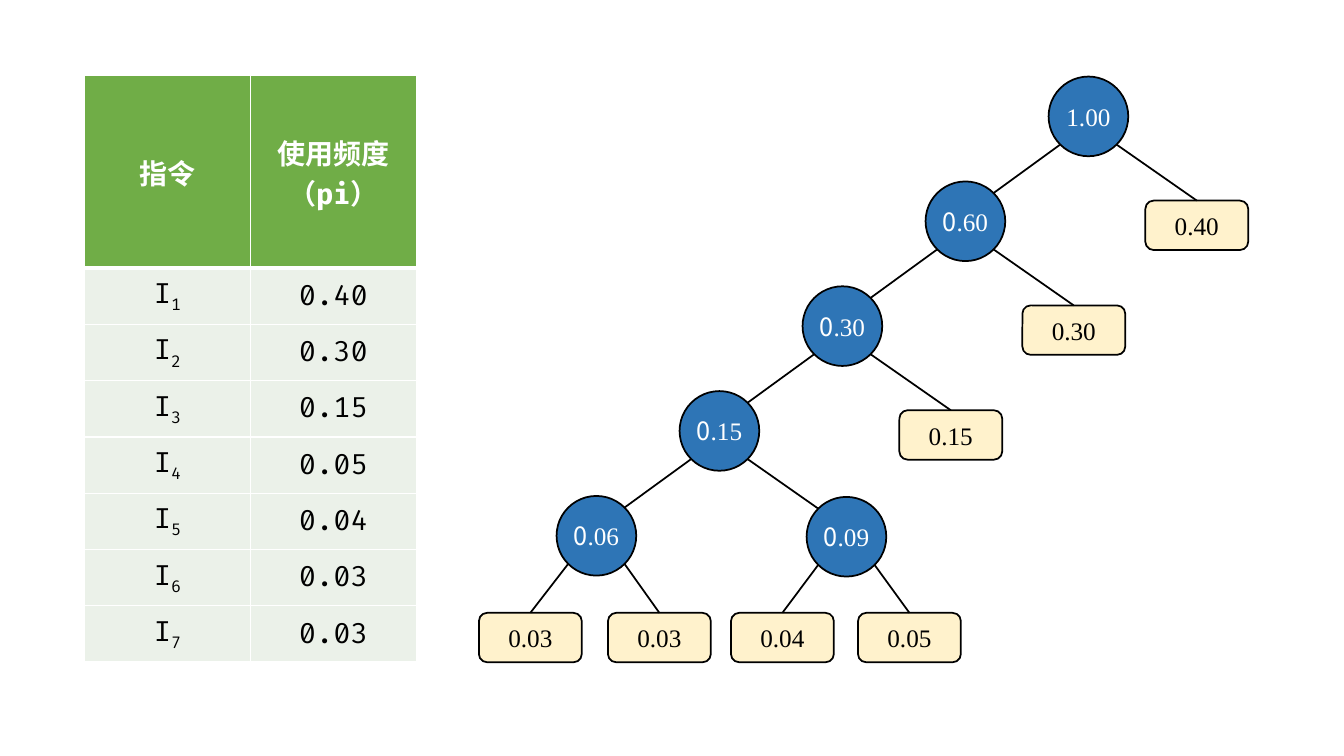
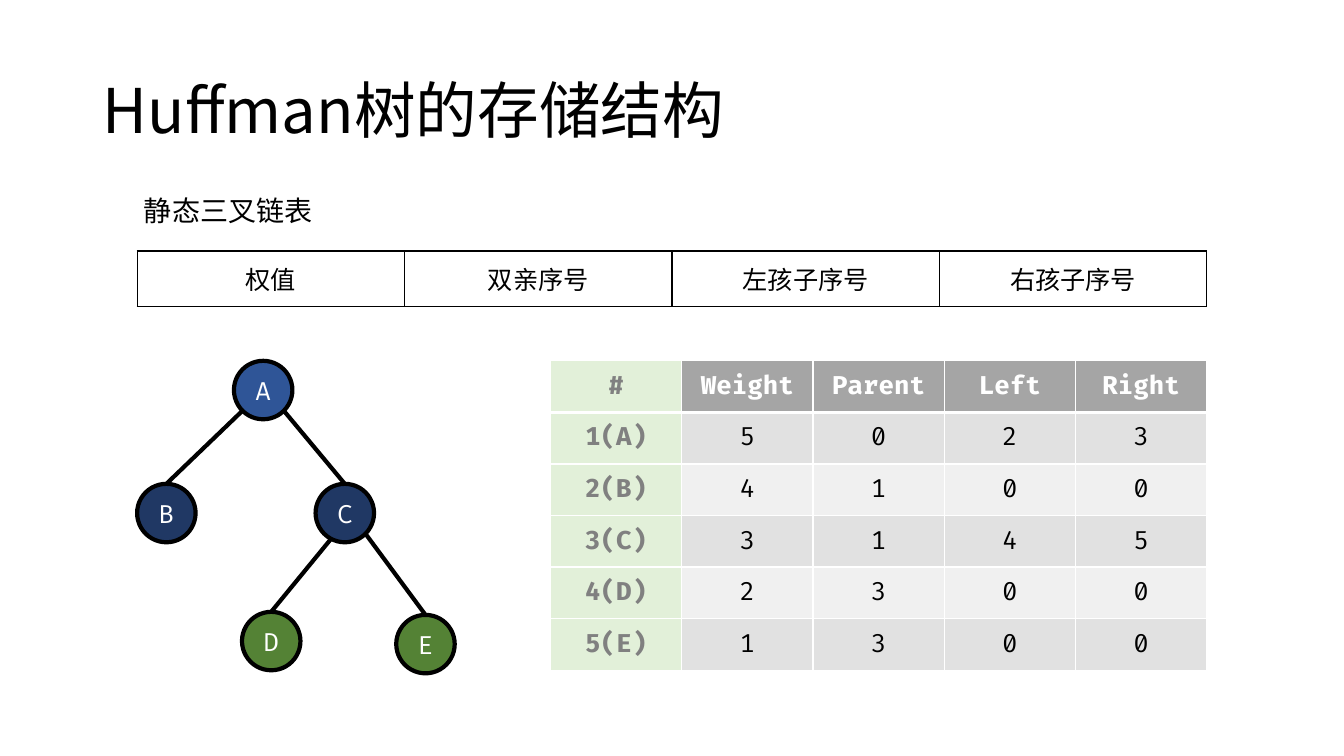
from math import cos, radians, sin

from lxml.etree import SubElement
from pptx import Presentation
from pptx.dml.color import RGBColor
from pptx.enum.shapes import MSO_CONNECTOR, MSO_SHAPE
from pptx.enum.text import MSO_ANCHOR, PP_ALIGN
from pptx.oxml.ns import qn
from pptx.util import Inches, Pt

COLORS = {
    "white": "FFFFFF", "black": "000000", "gray_text": "808080",
    "node": "2E75B6", "leaf": "FFF2CC",
    "root": "2F5597", "inner": "203864", "bottom": "548235",
    "green_header": "70AD47", "green_body": "EBF1E9", "green_index": "E2F0D9",
    "gray_header": "A5A5A5", "gray_dark": "E1E1E1", "gray_light": "F0F0F0",
}
SANS, CODE, SERIF = "Noto Sans CJK SC", "Fira Code", "Times New Roman"
LOWER_RIGHT, LOWER_LEFT, UPPER_LEFT, TOP = 45, 135, 225, 270
UPPER_RIGHT = 315


def rgb(name):
    return RGBColor.from_string(COLORS[name])


def format_run(run, font, size, color, bold=False):
    run.font.name = font
    run.font.size = Pt(size)
    run.font.bold = bold
    run.font.color.rgb = rgb(color)
    east_asian = SubElement(run._r.get_or_add_rPr(), qn("a:ea"))
    east_asian.set("typeface", SANS)


def format_text(text_frame, font, size, color, bold=False, align=PP_ALIGN.CENTER):
    for paragraph in text_frame.paragraphs:
        paragraph.alignment = align
        for run in paragraph.runs:
            format_run(run, font, size, color, bold)


def add_node(slide, kind, box, fill, pieces, color="white", line_width=1.25):
    shape = slide.shapes.add_shape(kind, *map(Inches, box))
    shape.shadow.inherit = False
    shape.fill.solid()
    shape.fill.fore_color.rgb = rgb(fill)
    shape.line.color.rgb = rgb("black")
    shape.line.width = Pt(line_width)
    frame = shape.text_frame
    frame.margin_left = frame.margin_right = frame.margin_top = frame.margin_bottom = 0
    frame.vertical_anchor = MSO_ANCHOR.MIDDLE
    frame.word_wrap = False
    paragraph = frame.paragraphs[0]
    paragraph.alignment = PP_ALIGN.CENTER
    for text, font in pieces:
        run = paragraph.add_run()
        run.text = text
        format_run(run, font, 18, color)
    return shape


def add_weight_node(slide, left, top, weight):
    pieces = [("0", SANS), (weight[1:], SERIF)] if weight[0] == "0" else [(weight, SERIF)]
    return add_node(slide, MSO_SHAPE.OVAL, (left, top, 0.79, 0.79), "node", pieces)


def add_leaf(slide, left, top, weight):
    return add_node(slide, MSO_SHAPE.ROUNDED_RECTANGLE, (left, top, 1.02, 0.49),
                    "leaf", [(weight, SERIF)], "black")


def edge_point(shape, angle):
    x = shape.left + shape.width / 2 * (1 + cos(radians(angle)))
    y = shape.top + shape.height / 2 * (1 + sin(radians(angle)))
    return int(x), int(y)


def add_link(slide, parent, parent_angle, child, child_angle=TOP, width=1.25):
    connector = slide.shapes.add_connector(
        MSO_CONNECTOR.STRAIGHT, *edge_point(parent, parent_angle),
        *edge_point(child, child_angle))
    connector.line.color.rgb = rgb("black")
    connector.line.width = Pt(width)
    SubElement(connector._element.spPr, qn("a:effectLst"))


def set_border(cell, side, color, width):
    line = SubElement(cell._tc.get_or_add_tcPr(), qn(f"a:ln{side}"), w=str(Pt(width)))
    fill = SubElement(line, qn("a:solidFill"))
    SubElement(fill, qn("a:srgbClr"), val=COLORS[color])


def add_grid(slide, box, rows, style, font, size, border="white",
             header_height=None, margin=None):
    left, top, width, height = box
    row_count, column_count = len(rows), len(rows[0])
    table = slide.shapes.add_table(row_count, column_count, *map(Inches, box)).table
    table.first_row = table.horz_banding = False
    for column in table.columns:
        column.width = Inches(width / column_count)
    for row in table.rows:
        row.height = Inches(height / row_count)
    if header_height:
        table.rows[0].height = Inches(header_height)
        for index in range(1, row_count):
            table.rows[index].height = Inches((height - header_height) / (row_count - 1))
    for i, texts in enumerate(rows):
        for j, text in enumerate(texts):
            cell = table.cell(i, j)
            fill, color, bold = style(i, j)
            for side in "LRTB":
                under_header = row_count > 1 and (i, side) in ((0, "B"), (1, "T"))
                set_border(cell, side, border, 3 if under_header else 1)
            if fill:
                cell.fill.solid()
                cell.fill.fore_color.rgb = rgb(fill)
            else:
                cell.fill.background()
            if margin is not None:
                cell.margin_left = cell.margin_right = cell.margin_top = Inches(margin)
                cell.margin_bottom = 0
            cell.vertical_anchor = MSO_ANCHOR.MIDDLE
            cell.text_frame.text = text
            format_text(cell.text_frame, font, size, color, bold)
    return table


def frequency_style(row, column):
    if row == 0:
        return "green_header", "white", True
    return "green_body", "black", False


def field_style(row, column):
    return None, "black", False


def storage_style(row, column):
    if column == 0:
        return "green_index", "gray_text", True
    if row == 0:
        return "gray_header", "white", True
    return "gray_dark" if row % 2 else "gray_light", "black", False


def build_frequency_slide(presentation):
    slide = presentation.slides.add_slide(presentation.slide_layouts[6])
    spine = [add_weight_node(slide, 10.4 - 1.22 * i, 0.76 + 1.04 * i, weight)
             for i, weight in enumerate(["1.00", "0.60", "0.30", "0.15", "0.06"])]
    for parent, child in zip(spine, spine[1:]):
        add_link(slide, parent, LOWER_LEFT, child, UPPER_RIGHT)
    for i, weight in enumerate(["0.40", "0.30", "0.15"]):
        leaf = add_leaf(slide, 11.36 - 1.22 * i, 1.99 + 1.04 * i, weight)
        add_link(slide, spine[i], LOWER_RIGHT, leaf)
    right_node = add_weight_node(slide, 8, 4.93, "0.09")
    add_link(slide, spine[3], LOWER_RIGHT, right_node, UPPER_LEFT)
    for parent, angle, left, weight in [
        (spine[4], LOWER_LEFT, 4.75, "0.03"),
        (spine[4], LOWER_RIGHT, 6.03, "0.03"),
        (right_node, LOWER_LEFT, 7.25, "0.04"),
        (right_node, LOWER_RIGHT, 8.51, "0.05"),
    ]:
        add_link(slide, parent, angle, add_leaf(slide, left, 6.08, weight))

    frequencies = ["0.40", "0.30", "0.15", "0.05", "0.04", "0.03", "0.03"]
    rows = [["指令", "使用频度\n（pi）"]] + [["I", value] for value in frequencies]
    table = add_grid(slide, (0.84, 0.75, 3.29, 5.82), rows, frequency_style,
                     CODE, 20, header_height=1.91, margin=0.01)
    for i in range(1, len(rows)):
        subscript = table.cell(i, 0).text_frame.paragraphs[0].add_run()
        subscript.text = str(i)
        format_run(subscript, CODE, 20, "black")
        subscript._r.get_or_add_rPr().set("baseline", "-25000")


def build_storage_slide(presentation):
    slide = presentation.slides.add_slide(presentation.slide_layouts[5])
    title = slide.shapes.title
    title.left, title.top, title.width, title.height = map(Inches, (0.92, 0.4, 11.5, 1.45))
    title.text_frame.text = "Huffman树的存储结构"
    title.text_frame.vertical_anchor = MSO_ANCHOR.MIDDLE
    title.text_frame.paragraphs[0].line_spacing = 0.9
    format_text(title.text_frame, SANS, 44, "black", align=PP_ALIGN.LEFT)

    add_grid(slide, (1.36, 2.49, 10.61, 0.55),
             [["权值", "双亲序号", "左孩子序号", "右孩子序号"]],
             field_style, SANS, 18, border="black")
    caption = slide.shapes.add_textbox(*map(Inches, (1.33, 1.87, 3.14, 0.44)))
    caption.text_frame.word_wrap = True
    caption.text_frame.text = "静态三叉链表"
    format_text(caption.text_frame, SANS, 20, "black", align=PP_ALIGN.LEFT)

    nodes = {}
    for name, left, top, fill in [
        ("A", 2.32, 3.58, "root"), ("B", 1.36, 4.8, "inner"),
        ("C", 3.13, 4.8, "inner"), ("D", 2.4, 6.07, "bottom"),
        ("E", 3.93, 6.1, "bottom"),
    ]:
        nodes[name] = add_node(slide, MSO_SHAPE.OVAL, (left, top, 0.58, 0.58),
                               fill, [(name, CODE)], line_width=3)
    for parent, angle, child in [("A", LOWER_LEFT, "B"), ("A", LOWER_RIGHT, "C"),
                                 ("C", 118, "D"), ("C", LOWER_RIGHT, "E")]:
        add_link(slide, nodes[parent], angle, nodes[child], width=3)

    rows = [["#", "Weight", "Parent", "Left", "Right"],
            ["1(A)", "5", "0", "2", "3"],
            ["2(B)", "4", "1", "0", "0"],
            ["3(C)", "3", "1", "4", "5"],
            ["4(D)", "2", "3", "0", "0"],
            ["5(E)", "1", "3", "0", "0"]]
    add_grid(slide, (5.46, 3.58, 6.51, 3.07), rows, storage_style, CODE, 18)


def main():
    presentation = Presentation()
    presentation.slide_width = Inches(13.33)
    presentation.slide_height = Inches(7.5)
    build_frequency_slide(presentation)
    build_storage_slide(presentation)
    presentation.save("out.pptx")


main()
